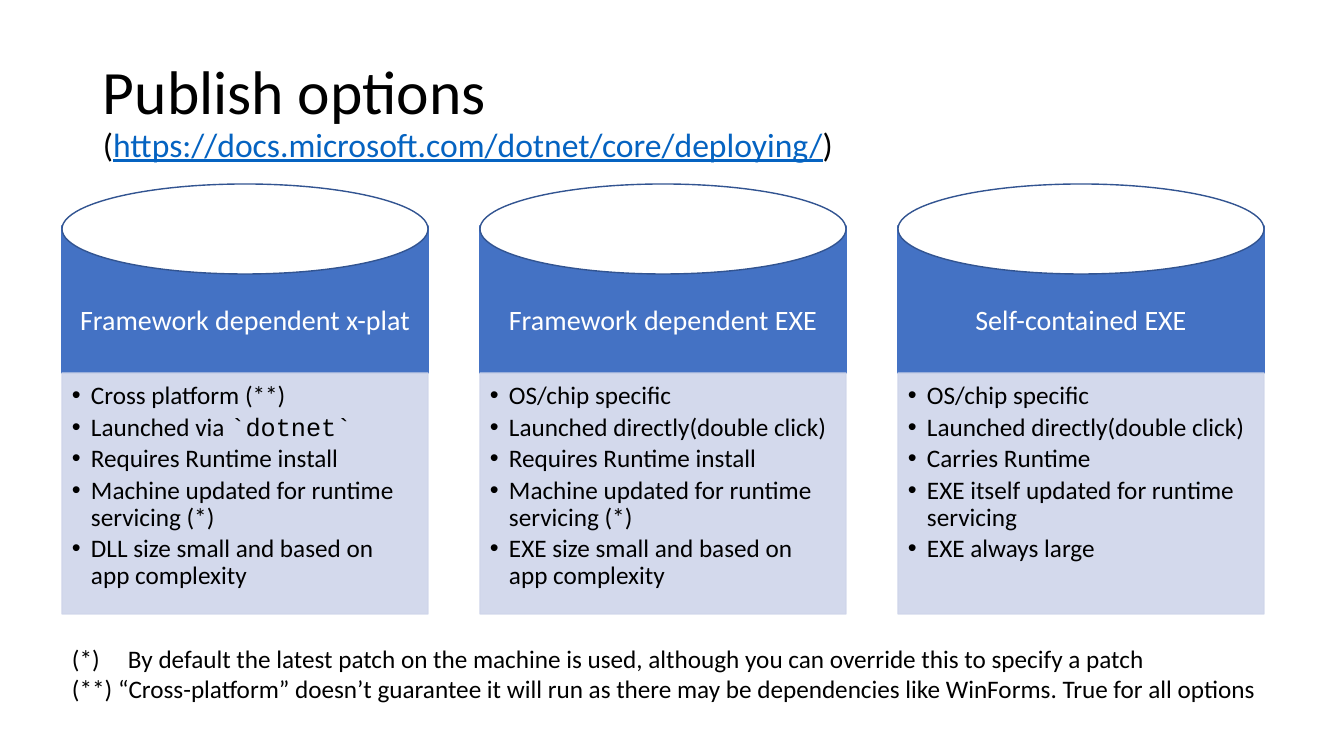
"""Build the publish options slide: three drums, each with a list of traits."""
from lxml.etree import SubElement
from pptx import Presentation
from pptx.dml.color import RGBColor
from pptx.enum.shapes import MSO_SHAPE as SHAPE
from pptx.enum.text import MSO_ANCHOR as ANCHOR, PP_ALIGN as ALIGN
from pptx.oxml.ns import qn
from pptx.util import Pt

TITLE = "Publish options"
URL = "https://docs.microsoft.com/dotnet/core/deploying/"
OPTIONS = [
    ("Framework dependent x-plat", [
        "Cross platform (**)",
        ("Launched via ", "`dotnet`"),
        "Requires Runtime install",
        "Machine updated for runtime servicing (*)",
        "DLL size small and based on app complexity"]),
    ("Framework dependent EXE", [
        "OS/chip specific",
        "Launched directly(double click)",
        "Requires Runtime install",
        "Machine updated for runtime servicing (*)",
        "EXE size small and based on app complexity"]),
    ("Self-contained EXE", [
        "OS/chip specific",
        "Launched directly(double click)",
        "Carries Runtime",
        "EXE itself updated for runtime servicing",
        "EXE always large"]),
]
NOTES = [
    "(*)\tBy default the latest patch on the machine is used, "
    "although you can override this to specify a patch",
    "(**) “Cross-platform” doesn’t guarantee it will run as there may be "
    "dependencies like WinForms. True for all options",
]
BLUE, PALE, RIM, LINK = "4472C4", "CFD5EA", "325491", "0563C1"
WHITE, BLACK = "FFFFFF", "000000"
LEFT, STEP, WIDTH = 62, 418, 366
LID_TOP, LID_H, HEAD_TOP, LIST_TOP, LIST_END = 184, 90, 226, 373, 614
INDENT, NOTE_TAB = 19, 56


def px(n):
    return round(n * 914400 / 100.8)


def rgb(value):
    return RGBColor.from_string(value)


def add_run(p, text, size, color=BLACK, name="Calibri", underline=False):
    r = p.add_run()
    r.text = text
    for key, value in dict(size=Pt(size), name=name, underline=underline).items():
        setattr(r.font, key, value)
    r.font.color.rgb = rgb(color)


def set_frame(tf, anchor, insets, wrap=True):
    sides = ("left", "top", "right", "bottom")
    values = {f"margin_{side}": px(n) for side, n in zip(sides, insets)}
    values.update(vertical_anchor=anchor, word_wrap=wrap)
    for key, value in values.items():
        setattr(tf, key, value)


def add_block(s, kind, box, fill, line, opacity=None):
    sp = s.shapes.add_shape(kind, *map(px, box))
    sp.shadow.inherit = False
    sp.fill.solid()
    sp.fill.fore_color.rgb = rgb(fill)
    sp.line.color.rgb = rgb(line)
    sp.line.width = Pt(1)
    if opacity:
        for color in sp.fill._xPr.iter(qn("a:srgbClr")):
            SubElement(color, qn("a:alpha"), val=str(opacity * 1000))
    return sp


def paragraphs(tf, items):
    for i, item in enumerate(items):
        yield (tf.add_paragraph() if i else tf.paragraphs[0]), item


def add_title(s):
    sp = s.shapes.title
    sp.left, sp.top, sp.width, sp.height = map(px, (93, 40, 1159, 146))
    set_frame(sp.text_frame, ANCHOR.MIDDLE, (10, 5, 10, 5))
    p = sp.text_frame.paragraphs[0]
    p.alignment, p.line_spacing = ALIGN.LEFT, 0.9
    add_run(p, TITLE, 44)
    p.add_line_break()
    add_run(p, "(", 24)
    add_run(p, URL, 24, LINK, underline=True)
    add_run(p, ")", 24)


def add_option(s, x, heading, traits):
    head = add_block(s, SHAPE.RECTANGLE,
                     (x, HEAD_TOP, WIDTH, LIST_TOP - HEAD_TOP), BLUE, BLUE)
    set_frame(head.text_frame, ANCHOR.MIDDLE, (16, 53, 16, 9))
    p = head.text_frame.paragraphs[0]
    p.alignment, p.line_spacing = ALIGN.CENTER, 0.9
    add_run(p, heading, 20, WHITE)

    body = add_block(s, SHAPE.RECTANGLE,
                     (x, LIST_TOP, WIDTH, LIST_END - LIST_TOP), PALE, PALE, 90)
    set_frame(body.text_frame, ANCHOR.TOP, (10, 10, 14, 16))
    for p, trait in paragraphs(body.text_frame, traits):
        p.alignment, p.line_spacing, p.space_after = ALIGN.LEFT, 0.9, Pt(3)
        pPr = p._p.get_or_add_pPr()
        pPr.set("marL", str(px(INDENT)))
        pPr.set("indent", str(-px(INDENT)))
        SubElement(pPr, qn("a:buFont"), typeface="Arial")
        SubElement(pPr, qn("a:buChar"), char="•")
        text, code = (trait, "") if isinstance(trait, str) else trait
        add_run(p, text, 18)
        if code:
            add_run(p, code, 18, name="Courier New")

    add_block(s, SHAPE.OVAL, (x, LID_TOP, WIDTH, LID_H), WHITE, RIM)


def add_notes(s):
    sp = s.shapes.add_textbox(*map(px, (LEFT, 638, 1219, 72)))
    set_frame(sp.text_frame, ANCHOR.TOP, (10, 5, 10, 5), wrap=False)
    for p, note in paragraphs(sp.text_frame, NOTES):
        if "\t" in note:
            tabs = SubElement(p._p.get_or_add_pPr(), qn("a:tabLst"))
            SubElement(tabs, qn("a:tab"), pos=str(px(NOTE_TAB)), algn="l")
        add_run(p, note, 18)


def main():
    prs = Presentation()
    prs.slide_width, prs.slide_height = px(1344), px(756)
    s = prs.slides.add_slide(prs.slide_layouts[5])
    add_title(s)
    for i, (heading, traits) in enumerate(OPTIONS):
        add_option(s, LEFT + i * STEP, heading, traits)
    add_notes(s)
    prs.save("out.pptx")


if __name__ == "__main__":
    main()
